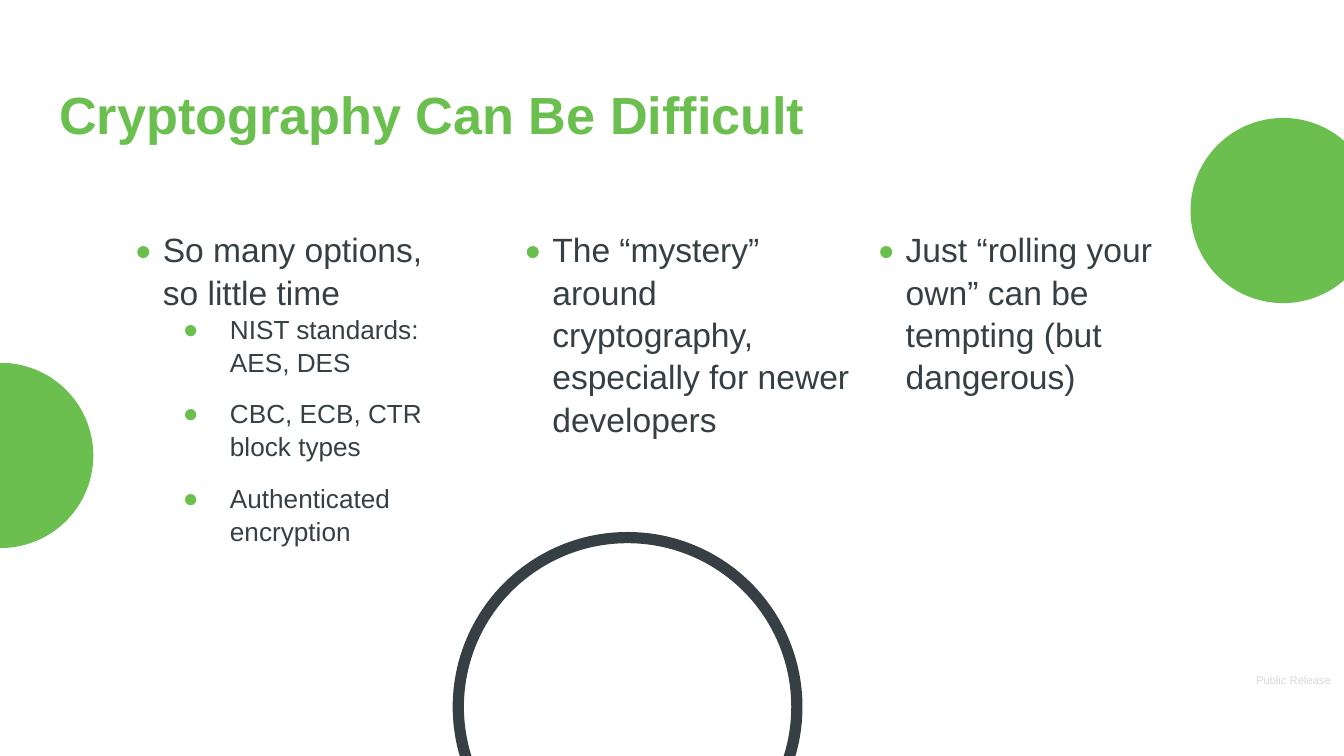
from lxml.etree import SubElement
from pptx import Presentation
from pptx.dml.color import RGBColor
from pptx.enum.shapes import MSO_SHAPE as Shape
from pptx.enum.text import MSO_ANCHOR as Anchor, MSO_AUTO_SIZE as AutoSize, PP_ALIGN as Align
from pptx.oxml.ns import qn
from pptx.util import Pt

GREEN = "6BBF4E"
SLATE = "363F44"
PALE = "D9D9D9"


def color(value):
    return RGBColor.from_string(value)


class Deck:
    face = "Arial"
    inset = 7.2
    spacing = 1.05

    def __init__(self, width, height):
        self.presentation = Presentation()
        self.presentation.slide_width = Pt(width)
        self.presentation.slide_height = Pt(height)

    def add_slide(self, layout):
        self.slide = self.presentation.slides.add_slide(self.presentation.slide_layouts[layout])

    def circle(self, left, top, size, fill=None, line=None, weight=0):
        oval = self.slide.shapes.add_shape(Shape.OVAL, Pt(left), Pt(top), Pt(size), Pt(size))
        oval.shadow.inherit = False
        if fill:
            oval.fill.solid()
            oval.fill.fore_color.rgb = color(fill)
        else:
            oval.fill.background()
        if line:
            oval.line.color.rgb = color(line)
            oval.line.width = Pt(weight)
        else:
            oval.line.fill.background()

    def frame(self, box, left, top, width, height, anchor=Anchor.TOP):
        box.left, box.top, box.width, box.height = Pt(left), Pt(top), Pt(width), Pt(height)
        frame = box.text_frame
        frame.word_wrap = True
        frame.auto_size = AutoSize.NONE
        frame.vertical_anchor = anchor
        frame.margin_left = frame.margin_right = Pt(self.inset)
        frame.margin_top = frame.margin_bottom = Pt(self.inset)
        return frame

    def paragraph(self, paragraph, text, size, ink, bold=False, align=Align.LEFT,
                  before=0, bullet=None, margin=0, hanging=0):
        paragraph.text = text
        paragraph.alignment = align
        paragraph.line_spacing = self.spacing
        paragraph.space_before = Pt(before)
        paragraph.space_after = Pt(0)
        properties = paragraph._p.get_or_add_pPr()
        properties.set("marL", str(Pt(margin)))
        properties.set("indent", str(Pt(-hanging)))
        if bullet:
            bullet_color = SubElement(properties, qn("a:buClr"))
            SubElement(bullet_color, qn("a:srgbClr"), val=GREEN)
            SubElement(properties, qn("a:buFont"), typeface=self.face)
            SubElement(properties, qn("a:buChar"), char=bullet)
        else:
            SubElement(properties, qn("a:buNone"))
        font = paragraph.font
        font.name = self.face
        font.size = Pt(size)
        font.bold = bold
        font.color.rgb = color(ink)

    def title(self, text, *place):
        frame = self.frame(self.slide.shapes.title, *place)
        self.paragraph(frame.paragraphs[0], text, 28, GREEN, bold=True)

    def column(self, placeholder, heading, details, left, top, width, height):
        dot = 6.5
        frame = self.frame(placeholder, left, top, width, height)
        self.paragraph(frame.paragraphs[0], heading, 18, SLATE)
        for index, detail in enumerate(details):
            self.paragraph(frame.add_paragraph(), detail, 14, SLATE, before=10 if index else 0,
                           bullet="●", margin=36, hanging=25.2)
        self.circle(left - dot, top + 17.3, dot, fill=GREEN)

    def label(self, text, *place):
        box = self.slide.shapes.add_textbox(0, 0, 0, 0)
        frame = self.frame(box, *place, anchor=Anchor.BOTTOM)
        self.paragraph(frame.paragraphs[0], text, 6, PALE, align=Align.RIGHT)


def main():
    deck = Deck(720, 405)
    deck.add_slide(4)
    deck.circle(-49.2, 194.4, 99.2, fill=GREEN)
    deck.circle(637.8, 63.2, 99.2, fill=GREEN)
    deck.circle(245.5, 288, 181.4, line=SLATE, weight=6)
    deck.label("Public Release", 483.8, 354.2, 236.2, 20.9)
    deck.title("Cryptography Can Be Difficult", 24.5, 35.3, 671, 45.4)

    columns = [
        ("So many options, so little time",
         ["NIST standards: AES, DES", "CBC, ECB, CTR block types", "Authenticated encryption"],
         80, 174.2),
        ("The “mystery” around cryptography, especially for newer developers", [], 288.7, 174.2),
        ("Just “rolling your own” can be tempting (but dangerous)", [], 478, 159.1),
    ]
    bodies = list(deck.slide.placeholders)[1:]
    for body, (heading, details, left, width) in zip(bodies, columns):
        deck.column(body, heading, details, left, 114.5, width, 208.8)
    for unused in bodies[len(columns):]:
        unused.element.getparent().remove(unused.element)

    deck.presentation.save("out.pptx")


if __name__ == "__main__":
    main()
